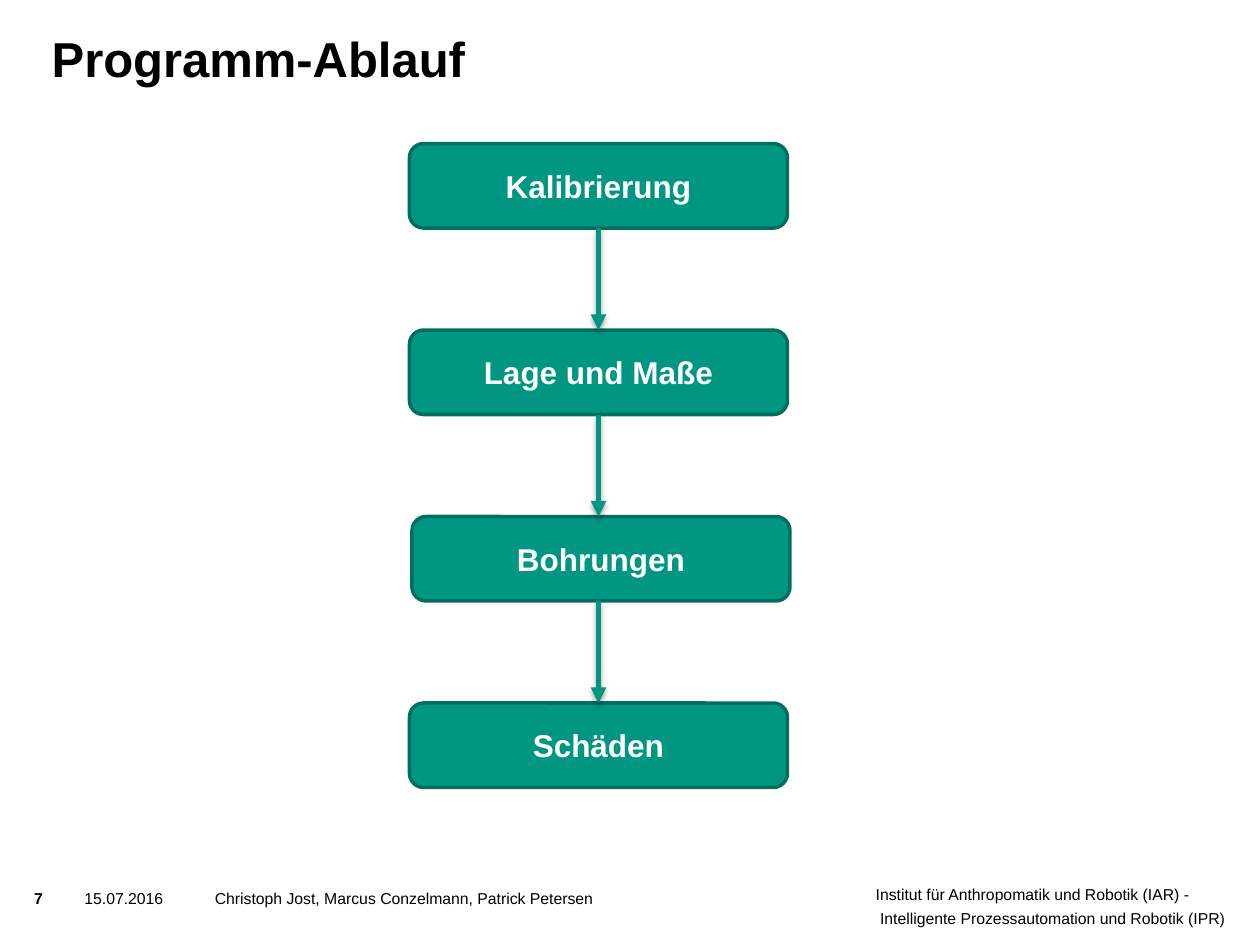
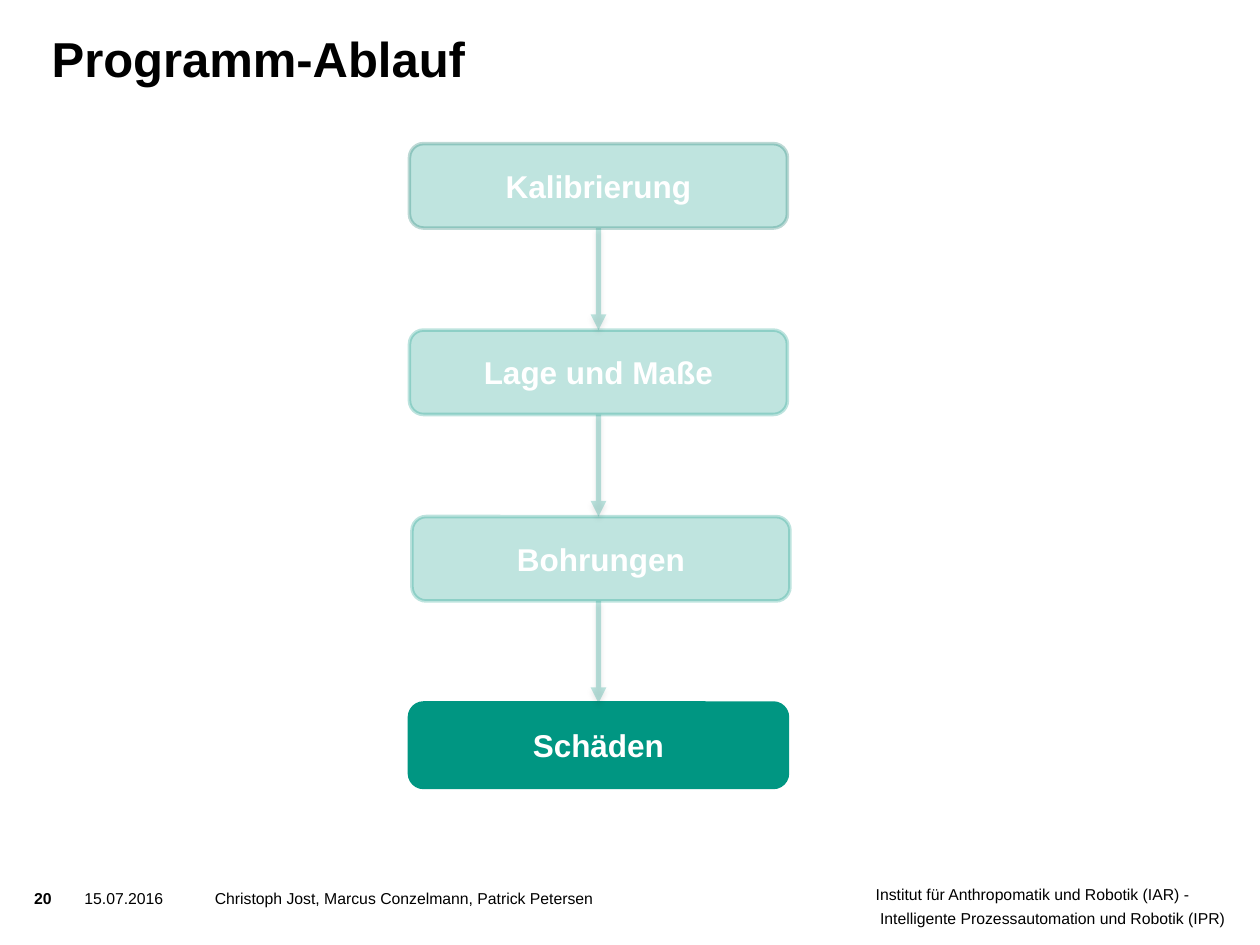
"""Build two slides that show the program flow, the second one highlighting its last step."""
from lxml.etree import SubElement
from pptx import Presentation
from pptx.dml.color import RGBColor
from pptx.enum.shapes import MSO_CONNECTOR as Connector, MSO_SHAPE as Preset
from pptx.enum.text import MSO_ANCHOR as Anchor, MSO_AUTO_SIZE as AutoSize, PP_ALIGN as Align
from pptx.oxml.ns import qn
from pptx.util import Pt

COLORS = {"green": "009682", "dark_green": "006F60", "black": "000000", "white": "FFFFFF"}
FONT = "Arial"
TITLE_ONLY = 5
STEPS = [("Kalibrierung", 0), ("Lage und Maße", 0), ("Bohrungen", 1.44), ("Schäden", 0)]
BOX_LEFT, BOX_TOP, BOX_WIDTH, BOX_HEIGHT = 234, 82.08, 216, 48.24
STEP_PITCH = 106.56
FLOW_AXIS = Pt(BOX_LEFT + BOX_WIDTH / 2)
FADED_OPACITY = 25
SHADOW_OPACITY = 35


def rgb(name):
    """Return the named colour."""
    return RGBColor.from_string(COLORS[name])


def add_run(paragraph, text, size, color="black", bold=False):
    """Add one formatted run to a paragraph."""
    run = paragraph.add_run()
    run.text = text
    run.font.name = FONT
    run.font.size = Pt(size)
    run.font.bold = bold
    run.font.color.rgb = rgb(color)


def clear_margins(frame):
    """Remove the inner margins of a text frame and let it wrap."""
    frame.margin_left = frame.margin_top = frame.margin_right = frame.margin_bottom = 0
    frame.word_wrap = True


def set_opacity(element, percent):
    """Give every colour below an element the same opacity."""
    for color in element.iter(qn("a:srgbClr")):
        SubElement(color, qn("a:alpha"), val=str(percent * 1000))


def set_title(slide, text):
    """Place and format the slide title."""
    title = slide.shapes.title
    title.left, title.top, title.width, title.height = Pt(8.64), Pt(11.52), Pt(544.32), Pt(54.72)
    frame = title.text_frame
    clear_margins(frame)
    frame.margin_left = Pt(20.88)
    frame.auto_size = AutoSize.NONE
    frame.vertical_anchor = Anchor.MIDDLE
    paragraph = frame.paragraphs[0]
    paragraph.alignment = Align.LEFT
    paragraph.line_spacing = Pt(22)
    add_run(paragraph, text, 28, bold=True)


def add_footer_text(slide, left, width, height, lines, bold=False):
    """Add a footer text box with one paragraph for each line."""
    frame = slide.shapes.add_textbox(Pt(left), Pt(507.6), Pt(width), Pt(height)).text_frame
    clear_margins(frame)
    for index, line in enumerate(lines):
        paragraph = frame.add_paragraph() if index else frame.paragraphs[0]
        if len(lines) > 1:
            paragraph.line_spacing = Pt(9)
            paragraph.space_before = Pt(4.5 if index else 0)
        add_run(paragraph, line, 9, bold=bold)


def add_footer(slide, number):
    """Add the institute, slide number, date and authors."""
    add_footer_text(slide, 500.4, 206, 28, [
        "Institut für Anthropomatik und Robotik (IAR) -",
        " Intelligente Prozessautomation und Robotik (IPR)",
    ])
    add_footer_text(slide, 19.44, 26, 17, [number], bold=True)
    add_footer_text(slide, 48.24, 351, 28, [
        "15.07.2016\t Christoph Jost, Marcus Conzelmann, Patrick Petersen",
    ])


def add_step(slide, index, outline, faded):
    """Add the box of one step and return it."""
    label, shift = STEPS[index]
    box = slide.shapes.add_shape(
        Preset.FLOWCHART_ALTERNATE_PROCESS,
        Pt(BOX_LEFT + shift), Pt(BOX_TOP + index * STEP_PITCH), Pt(BOX_WIDTH), Pt(BOX_HEIGHT))
    box.shadow.inherit = False
    box.fill.solid()
    box.fill.fore_color.rgb = rgb("green")
    box.line.color.rgb = rgb(outline)
    box.line.width = Pt(2)
    if faded:
        set_opacity(box.element.spPr, FADED_OPACITY)
    box.text_frame.vertical_anchor = Anchor.MIDDLE
    paragraph = box.text_frame.paragraphs[0]
    paragraph.alignment = Align.CENTER
    add_run(paragraph, label, 18, "white", bold=True)
    return box


def is_on_axis(box):
    """Tell whether a box is centred on the flow axis."""
    return abs(box.left + box.width // 2 - FLOW_AXIS) < Pt(0.1)


def add_shadow(properties):
    """Add a soft shadow that falls straight down."""
    effects = SubElement(properties, qn("a:effectLst"))
    shadow = SubElement(
        effects, qn("a:outerShdw"), blurRad=str(Pt(3.1)), dist=str(Pt(1.8)),
        dir="5400000", rotWithShape="0")
    SubElement(shadow, qn("a:srgbClr"), val=COLORS["black"])
    set_opacity(shadow, SHADOW_OPACITY)


def add_arrow(slide, upper, lower, faded):
    """Add a vertical arrow between two boxes, joined where they sit on the axis."""
    arrow = slide.shapes.add_connector(
        Connector.STRAIGHT, FLOW_AXIS, upper.top + upper.height, FLOW_AXIS, lower.top)
    if is_on_axis(upper):
        arrow.begin_connect(upper, 2)
    if is_on_axis(lower):
        arrow.end_connect(lower, 0)
    arrow.line.color.rgb = rgb("green")
    arrow.line.width = Pt(3)
    properties = arrow.element.spPr
    if faded:
        set_opacity(properties, FADED_OPACITY)
    SubElement(properties.find(qn("a:ln")), qn("a:tailEnd"), type="triangle")
    add_shadow(properties)


def add_flow_slide(presentation, number, outlines, highlight=None):
    """Add a flow slide, fading all but the highlighted step if there is one."""
    slide = presentation.slides.add_slide(presentation.slide_layouts[TITLE_ONLY])
    set_title(slide, "Programm-Ablauf")
    add_footer(slide, number)
    fading = highlight is not None
    boxes = [
        add_step(slide, index, outline, fading and index != highlight)
        for index, outline in enumerate(outlines)
    ]
    for upper, lower in zip(boxes, boxes[1:]):
        add_arrow(slide, upper, lower, fading)


def main():
    """Create and save the presentation."""
    presentation = Presentation()
    presentation.slide_width, presentation.slide_height = Pt(720), Pt(540)
    add_flow_slide(presentation, "7", ["dark_green"] * 4)
    add_flow_slide(presentation, "20", ["dark_green"] + ["green"] * 3, highlight=3)
    presentation.save("out.pptx")


if __name__ == "__main__":
    main()
